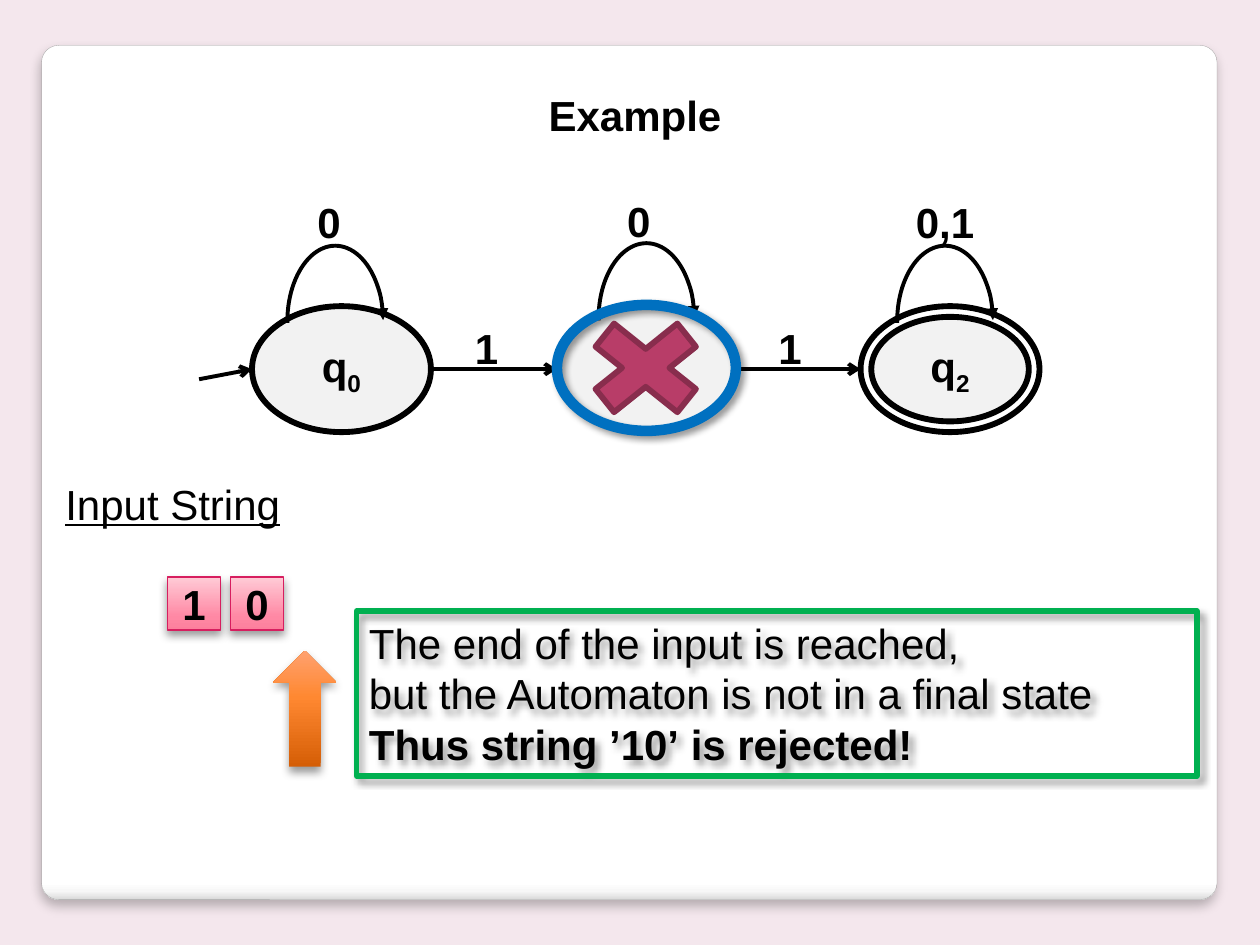
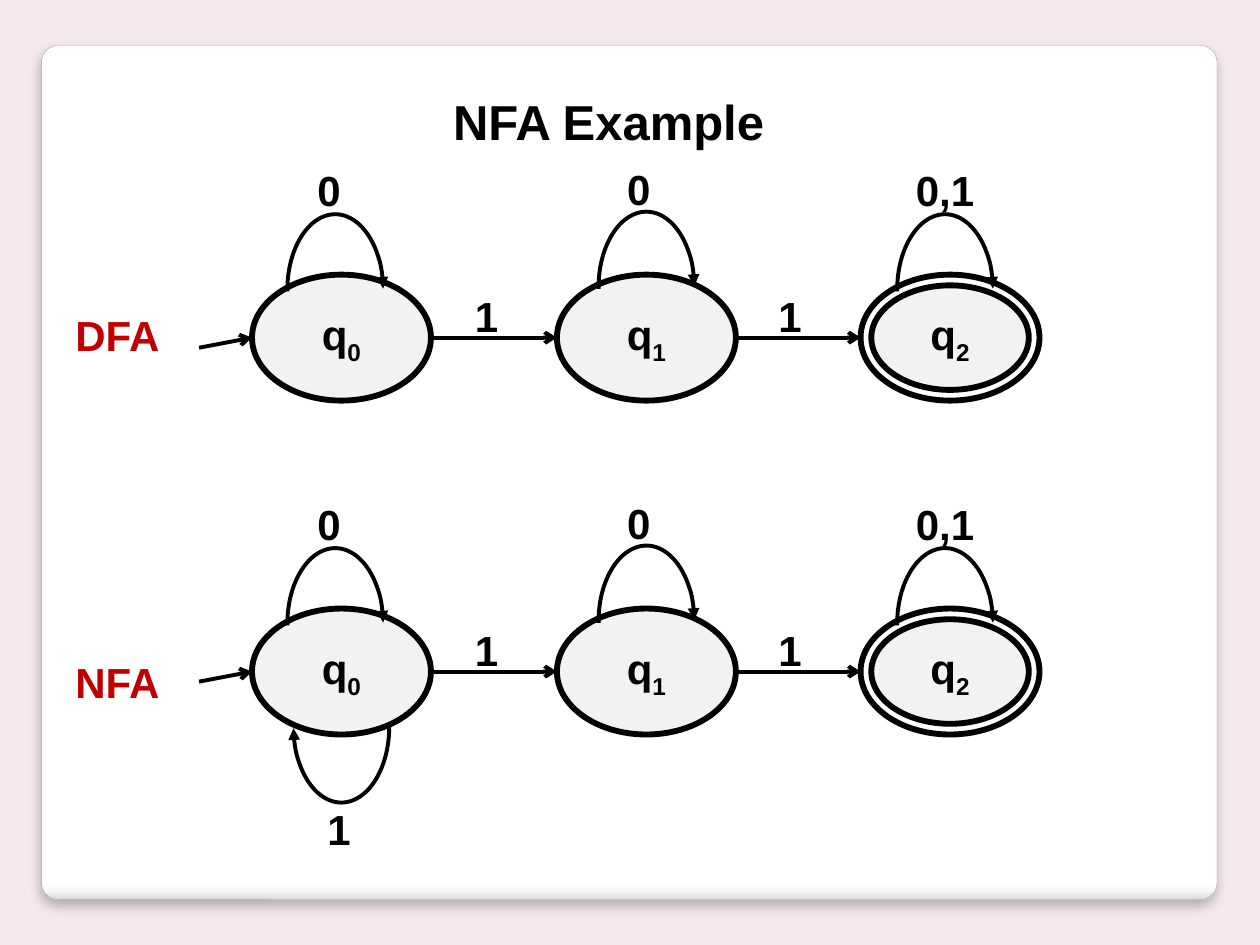
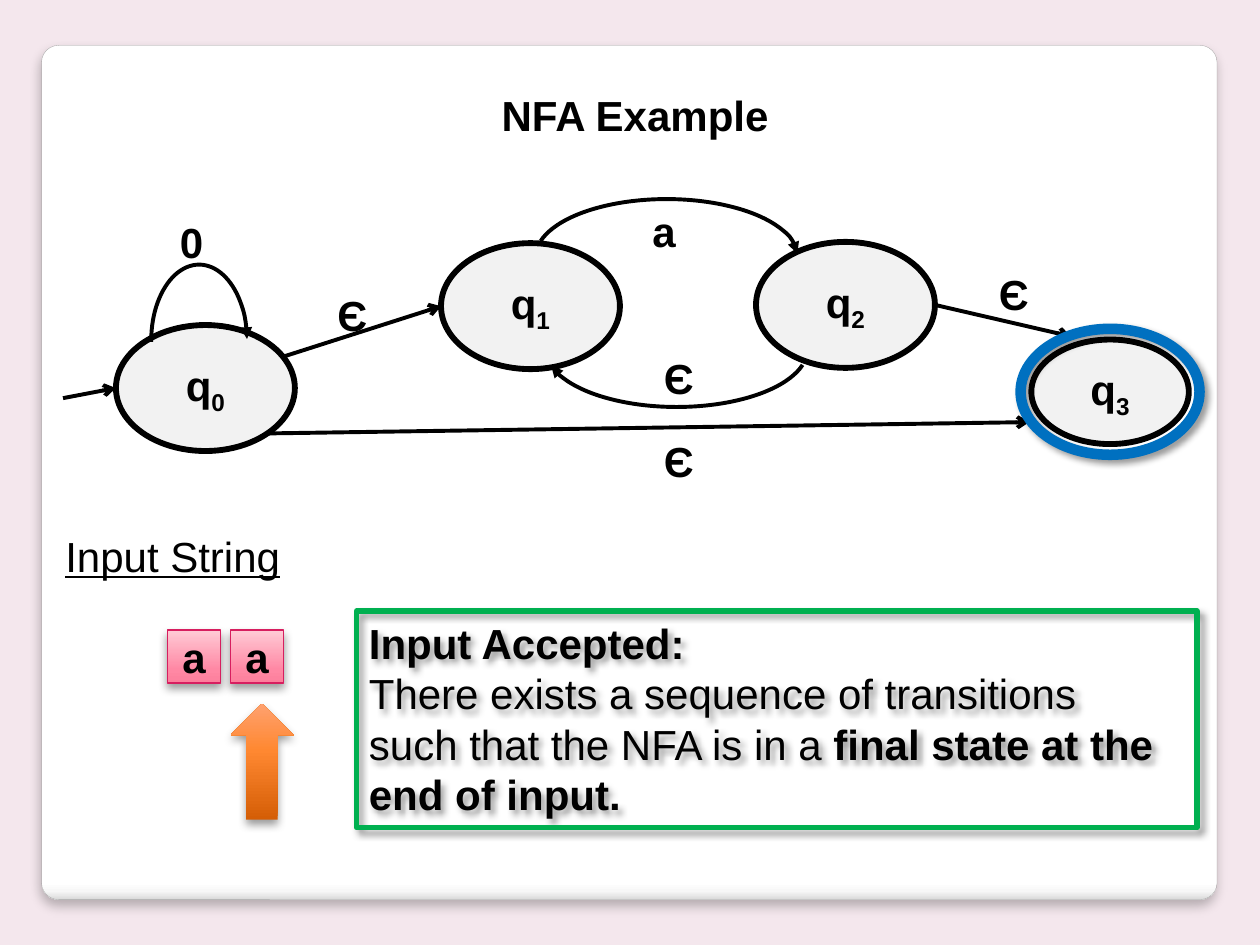
from dataclasses import dataclass

from lxml import etree
from pptx import Presentation
from pptx.dml.color import RGBColor
from pptx.enum.shapes import MSO_CONNECTOR, MSO_SHAPE
from pptx.enum.text import MSO_ANCHOR, PP_ALIGN
from pptx.oxml.ns import qn
from pptx.util import Inches, Pt

OVAL, RECTANGLE, CARD = MSO_SHAPE.OVAL, MSO_SHAPE.RECTANGLE, MSO_SHAPE.ROUNDED_RECTANGLE
ARC, UP_ARROW, CROSS = MSO_SHAPE.ARC, MSO_SHAPE.UP_ARROW, MSO_SHAPE.MATH_MULTIPLY
STRAIGHT = MSO_CONNECTOR.STRAIGHT
LEFT, CENTER = PP_ALIGN.LEFT, PP_ALIGN.CENTER
TOP, MIDDLE = MSO_ANCHOR.TOP, MSO_ANCHOR.MIDDLE


@dataclass(frozen=True)
class Theme:
    font: str = "Arial"
    body: int = 24
    heading: int = 28
    ink: str = "000000"
    backdrop: str = "F4E7ED"
    card_edge: str = "A4A4A4"
    card_stops: tuple = ((0, "FFFFFF"), (98, "FFFFFF"), (99, "F7F7F7"), (100, "DADADA"))
    state: str = "F2F2F2"
    active: str = "0070C0"
    note_edge: str = "00B050"
    kind: str = "C00000"
    cross: str = "B83D68"
    cross_edge: str = "882D4D"
    symbol_edge: str = "D71E5F"
    symbol_stops: tuple = ((0, "FC7F9C"), (25, "FF88A4"), (100, "FFCBD6"))
    pointer_stops: tuple = ((0, "D55E06"), (60, "FF8831"), (100, "FFA16F"))
    card_shadow: tuple = (25, 6, 4, 90)
    drop_shadow: tuple = (40, 5.2, 3, 90)
    slant_shadow: tuple = (40, 4, 3, 45)
    state_line: float = 3.35
    edge_line: float = 2.25


THEME = Theme()
STATE_WIDTH, STATE_HEIGHT, RIM = 1.42, 1, 0.085


def rgb(value):
    return RGBColor.from_string(value)


def add_child(parent, tag, **attributes):
    return etree.SubElement(parent, qn(tag), {name: str(value) for name, value in attributes.items()})


def set_gradient(shape, stops, angle):
    shape.fill.gradient()
    shape.fill.gradient_angle = angle
    stop_list = shape._element.spPr.find(qn("a:gradFill")).find(qn("a:gsLst"))
    stop_list.clear()
    for percent, color in stops:
        stop = add_child(stop_list, "a:gs", pos=percent * 1000)
        add_child(stop, "a:srgbClr", val=color)


def set_shadow(shape, alpha, blur, distance, direction):
    effects = shape._element.spPr.find(qn("a:effectLst"))
    outer = add_child(effects, "a:outerShdw", blurRad=Pt(blur), dist=Pt(distance),
                      dir=direction * 60000, algn="ctr", rotWithShape=0)
    color = add_child(outer, "a:srgbClr", val=THEME.ink)
    add_child(color, "a:alpha", val=alpha * 1000)


def set_line(shape, color, width, arrowhead=None):
    shape.line.color.rgb = rgb(color)
    shape.line.width = Pt(width)
    if arrowhead:
        add_child(shape._element.spPr.find(qn("a:ln")), "a:tailEnd", type=arrowhead)


def write(frame, paragraphs, size=THEME.body, color=THEME.ink, bold=False,
          underline=False, align=LEFT, anchor=TOP):
    frame.word_wrap = True
    frame.vertical_anchor = anchor
    for index, spans in enumerate(paragraphs):
        para = frame.add_paragraph() if index else frame.paragraphs[0]
        para.alignment = align
        for text, changes in spans:
            span = para.add_run()
            span.text = text
            span.font.name = THEME.font
            span.font.size = Pt(size)
            span.font.color.rgb = rgb(color)
            span.font.bold = changes.get("bold", bold)
            span.font.underline = underline
            if changes.get("subscript"):
                span.font._element.set("baseline", "-25000")


def add_text(shapes, text, left, top, width=0.83, height=0.5, **style):
    box = shapes.add_textbox(Inches(left), Inches(top), Inches(width), Inches(height))
    write(box.text_frame, [[(text, {})]], **style)


def add_figure(shapes, kind, left, top, width, height, fill=None, stops=None, angle=90,
               line=None, line_width=THEME.state_line, shadow=None):
    shape = shapes.add_shape(kind, Inches(left), Inches(top), Inches(width), Inches(height))
    shape.shadow.inherit = False
    if stops:
        set_gradient(shape, stops, angle)
    elif fill:
        shape.fill.solid()
        shape.fill.fore_color.rgb = rgb(fill)
    else:
        shape.fill.background()
    if line:
        set_line(shape, line, line_width)
    else:
        shape.line.fill.background()
    if shadow:
        set_shadow(shape, *shadow)
    return shape


def add_edge(shapes, start, end):
    edge = shapes.add_connector(STRAIGHT, *(Inches(value) for value in start + end))
    set_line(edge, THEME.ink, THEME.edge_line, "arrow")
    add_child(edge._element.spPr, "a:effectLst")


def add_arc(shapes, left, top, width=0.76, height=1.2, angles=(358, 178.53), rotation=180):
    arc = add_figure(shapes, ARC, left, top, width, height)
    for index, degrees in enumerate(angles):
        arc.adjustments[index] = degrees * 0.6
    arc.rotation = rotation
    set_line(arc, THEME.ink, THEME.edge_line, "triangle")


def add_state(shapes, number, left, top, final=False):
    inset = RIM if final else 0
    oval = add_figure(shapes, OVAL, left + inset, top + inset, STATE_WIDTH - 2 * inset,
                      STATE_HEIGHT - 2 * inset, fill=THEME.state, line=THEME.ink)
    name = [("q", {}), (str(number), {"subscript": True})]
    write(oval.text_frame, [name], bold=True, align=CENTER, anchor=MIDDLE)
    if final:
        add_figure(shapes, OVAL, left, top, STATE_WIDTH, STATE_HEIGHT, line=THEME.ink)


def add_entry(shapes, left, top):
    add_edge(shapes, (left - 0.42, top + 0.58), (left, top + 0.5))


def add_label(shapes, text, left, top):
    add_text(shapes, text, left, top, bold=True)


def add_chain(page, top):
    shapes = page.shapes.add_group_shape().shapes
    lefts = (2, 4.42, 6.83)
    loops = (("0", 2.28, 2.42, 0), ("0", 4.75, 4.88, 0.02), ("0,1", 7.12, 7.17, 0))
    add_entry(shapes, lefts[0], top)
    for number, left in enumerate(lefts):
        add_state(shapes, number, left, top, final=left == lefts[-1])
    for text, arc_left, label_left, lift in loops:
        add_arc(shapes, arc_left, top - 0.48 - lift)
        add_label(shapes, text, label_left, top - 0.92 - lift / 2)
    for left, following in zip(lefts, lefts[1:]):
        add_edge(shapes, (left + STATE_WIDTH, top + 0.5), (following, top + 0.5))
        add_label(shapes, "1", following - 0.75, top + 0.08)


def add_epsilon_automaton(page):
    shapes = page.shapes.add_group_shape().shapes
    states = ((0.92, 2.58), (3.5, 1.93), (6, 1.92), (8.1, 2.61))
    edges = (((2.25, 2.83), (3.5, 2.43)), ((7.42, 2.42), (8.5, 2.67)), ((2.13, 3.44), (8.17, 3.35)))
    labels = (("0", 1.33, 1.67), ("Є", 7.83, 2.08), ("Є", 5.17, 2.75),
              ("Є", 2.58, 2.25), ("a", 5.08, 1.58), ("Є", 5.17, 3.41))
    add_entry(shapes, *states[0])
    for number, (left, top) in enumerate(states):
        add_state(shapes, number, left, top, final=number == 3)
    for start, end in edges:
        add_edge(shapes, start, end)
    add_arc(shapes, 1.2, 2.1)
    add_arc(shapes, 4.25, 1.58, 2.08, 0.92, (7.2, 178.53))
    add_arc(shapes, 4.33, 2.31, 2.08, 0.92, (7.2, 172.38), rotation=0)
    for label in labels:
        add_label(shapes, *label)


def add_active_ring(page, left, top):
    add_figure(page.shapes, OVAL, left, top, STATE_WIDTH, STATE_HEIGHT,
               line=THEME.active, line_width=6, shadow=THEME.slant_shadow)


def add_input(page, symbols, heading_top, top, pointer_left):
    add_text(page.shapes, "Input String", 0.42, heading_top, 2.08, underline=True)
    for index, symbol in enumerate(symbols):
        tile = add_figure(page.shapes, RECTANGLE, 1.33 + index * 0.5, top, 0.42, 0.42,
                          stops=THEME.symbol_stops, line=THEME.symbol_edge,
                          line_width=0.75, shadow=THEME.drop_shadow)
        write(tile.text_frame, [[(symbol, {})]], bold=True, align=CENTER, anchor=MIDDLE)
    add_figure(page.shapes, UP_ARROW, pointer_left, top + 0.585, 0.5, 0.92,
               stops=THEME.pointer_stops, shadow=THEME.drop_shadow)


def add_note(page, paragraphs, height):
    note = add_figure(page.shapes, RECTANGLE, 2.83, 4.85, 6.67, height,
                      line=THEME.note_edge, line_width=3, shadow=THEME.slant_shadow)
    write(note.text_frame, paragraphs)


def add_title(page, text, left=3.08, top=0.66, width=3.92, size=THEME.body):
    add_text(page.shapes, text, left, top, width, size=size, bold=True, align=CENTER)


def add_page(deck):
    page = deck.slides.add_slide(deck.slide_layouts[6])
    card = add_figure(page.shapes, CARD, 0.33, 0.36, 9.33, 6.78, stops=THEME.card_stops,
                      angle=270, line=THEME.card_edge, line_width=0.16,
                      shadow=THEME.card_shadow)
    card.adjustments[0] = 0.02
    return page


def build_rejected(deck):
    page = add_page(deck)
    add_chain(page, 2.43)
    add_active_ring(page, 4.42, 2.42)
    add_title(page, "Example")
    add_input(page, "10", 3.75, 4.58, 2.17)
    add_note(page, [[("The end of the input is reached,", {})],
                    [("but the Automaton is not in a final state", {})],
                    [("Thus string ʼ10ʼ is rejected!", {"bold": True})]], 1.31)
    add_figure(page.shapes, CROSS, 4.5, 2.42, 1.25, 1, fill=THEME.cross, line=THEME.cross_edge)


def build_comparison(deck):
    page = add_page(deck)
    for kind, chain_top, kind_top in (("DFA", 2.18, 2.41), ("NFA", 4.83, 5.16)):
        add_chain(page, chain_top)
        add_text(page.shapes, kind, 0.5, kind_top, 1, color=THEME.kind, bold=True)
    add_arc(page.shapes, 2.33, 5.17, rotation=0)
    add_label(page.shapes, "1", 2.5, 6.33)
    add_title(page, "NFA Example", 2.08, 0.68, 5.5, THEME.heading)


def build_accepted(deck):
    page = add_page(deck)
    add_title(page, "NFA Example")
    add_epsilon_automaton(page)
    add_input(page, "aa", 4.16, 5, 1.83)
    add_note(page, [[("Input Accepted:", {"bold": True})],
                    [("There exists a sequence of transitions", {})],
                    [("such that the NFA is in a ", {}), ("final state at the", {"bold": True})],
                    [("end of input.", {"bold": True})]], 1.72)
    add_active_ring(page, 8.1, 2.61)


def main():
    deck = Presentation()
    deck.slide_width, deck.slide_height = Inches(10), Inches(7.5)
    backdrop = deck.slide_master.background.fill
    backdrop.solid()
    backdrop.fore_color.rgb = rgb(THEME.backdrop)
    build_rejected(deck)
    build_comparison(deck)
    build_accepted(deck)
    deck.save("out.pptx")


if __name__ == "__main__":
    main()
